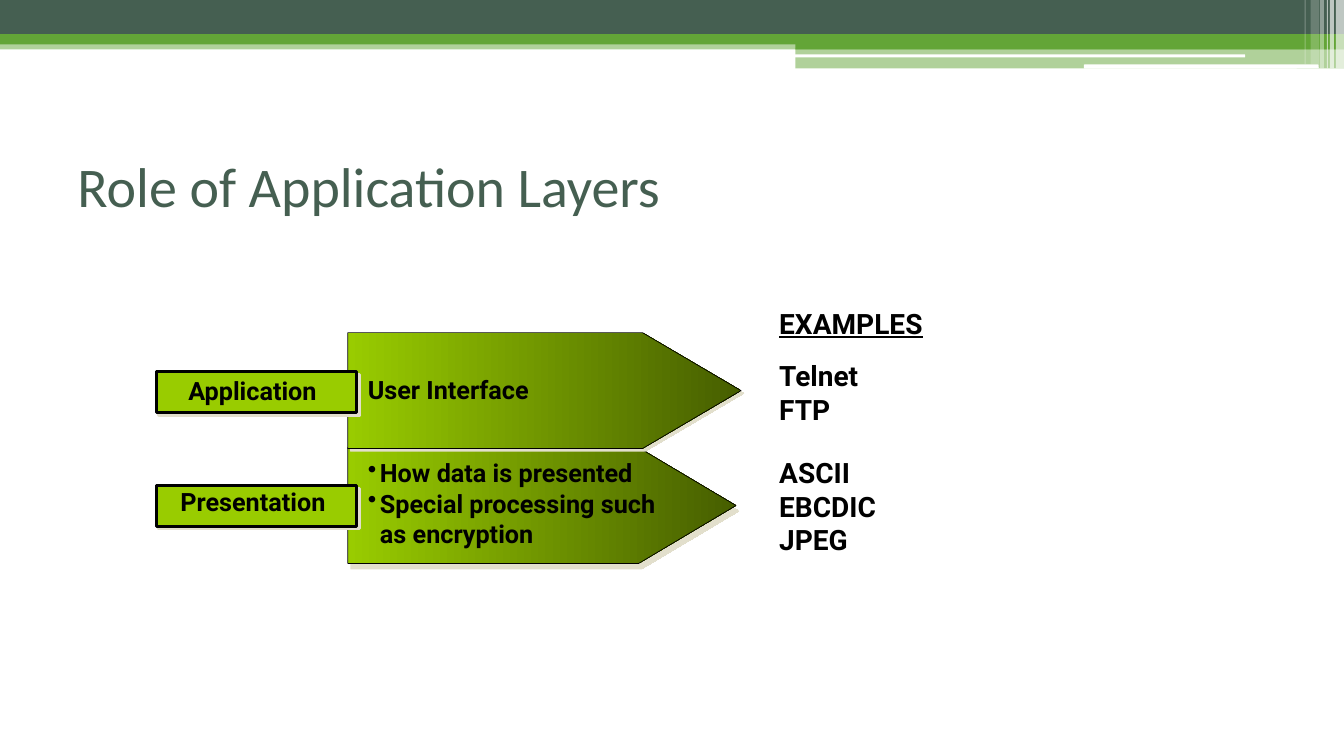
"""Build the slide on the role of the application layers."""
from dataclasses import dataclass
from typing import Any

from lxml import etree
from pptx import Presentation
from pptx.dml.color import RGBColor
from pptx.enum.shapes import MSO_SHAPE
from pptx.enum.text import MSO_ANCHOR
from pptx.oxml.ns import qn
from pptx.util import Inches, Pt

RECTANGLE = MSO_SHAPE.RECTANGLE
ROUNDED = MSO_SHAPE.ROUNDED_RECTANGLE
PENTAGON = MSO_SHAPE.PENTAGON
TOP, MIDDLE = MSO_ANCHOR.TOP, MSO_ANCHOR.MIDDLE

WHITE, BLACK, SHADOW = "FFFFFF", "000000", "E2DFCC"
DARK_GREEN, LEAF_GREEN = "455F51", "63A537"
LIME, DEEP_LIME = "99CC00", "465E00"

BODY_FONT = {"name": "Roboto", "size": Pt(18), "bold": True}
EXAMPLE_FONT = BODY_FONT | {"size": Pt(20)}
HEADING_FONT = EXAMPLE_FONT | {"underline": True}
TITLE_FONT = {"name": "Calibri", "size": Pt(40), "bold": False}


@dataclass(frozen=True)
class Box:
    """Position and size in inches."""
    left: float
    top: float
    width: float
    height: float

    def lengths(self) -> list[int]:
        """Return the four lengths for a python-pptx call."""
        return [Inches(v) for v in (self.left, self.top, self.width, self.height)]


@dataclass(frozen=True)
class Bar:
    """A plain decorative bar with opacity in percent."""
    box: Box
    color: str
    opacity: int = 100
    kind: Any = RECTANGLE


@dataclass(frozen=True)
class Panel:
    """An outlined shape with a shadow; an adjustment marks an arrow."""
    box: Box
    line_width: float
    shadow_distance: float = 2.8
    shadow_angle: int = 45
    adjustment: float | None = None


@dataclass(frozen=True)
class TextBlock:
    """A text box with one font for all its paragraphs."""
    box: Box
    lines: tuple[str, ...]
    font: dict[str, Any]
    color: str = BLACK
    anchor: Any = MIDDLE
    wrap: bool = True
    bulleted: bool = False


BARS = [
    Bar(Box(0, 0.4, 13.33, 0.09), LEAF_GREEN, 50),
    Bar(Box(0, 0, 13.33, 0.34), DARK_GREEN),
    Bar(Box(0, 0.34, 13.33, 0.1), LEAF_GREEN),
    Bar(Box(7.89, 0.39, 5.44, 0.1), LEAF_GREEN),
    Bar(Box(7.89, 0.48, 5.44, 0.2), LEAF_GREEN, 50),
    Bar(Box(7.88, 0.54, 4.47, 0.03), WHITE, kind=ROUNDED),
    Bar(Box(10.75, 0.64, 2.33, 0.04), WHITE, kind=ROUNDED),
    Bar(Box(13.25, 0, 0.08, 0.68), WHITE, 65),
    Bar(Box(13.19, 0, 0.04, 0.68), WHITE, 65),
    Bar(Box(13.16, 0, 0.01, 0.68), WHITE, 60),
    Bar(Box(13.09, 0, 0.04, 0.68), WHITE, 40),
    Bar(Box(13, 0, 0.08, 0.64), WHITE, 20),
    Bar(Box(12.94, 0, 0.01, 0.64), WHITE, 30),
]
PANELS = [
    Panel(Box(3.45, 4.44, 3.85, 1.15), 0.5, 4.5, 63, 0.84),
    Panel(Box(3.45, 3.3, 3.9, 1.15), 0.5, adjustment=0.85),
    Panel(Box(1.55, 3.69, 1.99, 0.4), 2.25),
    Panel(Box(1.55, 4.82, 1.99, 0.4), 2.25),
]
TEXTS = [
    TextBlock(Box(0.67, 1.25, 12, 1.17), ("Role of Application Layers",), TITLE_FONT, DARK_GREEN),
    TextBlock(Box(7.63, 2.99, 1.97, 0.43), ("EXAMPLES",), HEADING_FONT),
    TextBlock(Box(7.63, 3.51, 1.97, 0.77), ("Telnet", "FTP"), EXAMPLE_FONT),
    TextBlock(Box(7.63, 4.47, 1.47, 1.1), ("ASCII", "EBCDIC", "JPEG"), EXAMPLE_FONT),
    TextBlock(Box(3.55, 3.66, 3.51, 0.4), ("User Interface",), BODY_FONT),
    TextBlock(Box(3.55, 4.49, 3.06, 1),
              ("How data is presented", "Special processing such as encryption"),
              BODY_FONT, bulleted=True),
    TextBlock(Box(1.77, 3.67, 1.56, 0.4), ("Application",), BODY_FONT, anchor=TOP, wrap=False),
    TextBlock(Box(1.69, 4.78, 1.72, 0.4), ("Presentation",), BODY_FONT, anchor=TOP, wrap=False),
]


def rgb(color: str) -> RGBColor:
    """Turn a hex string into a colour."""
    return RGBColor.from_string(color)


def set_values(target: Any, values: dict[str, Any]) -> None:
    """Set each named attribute on the target."""
    for name, value in values.items():
        setattr(target, name, value)


def add_plain_shape(slide: Any, kind: Any, box: Box, color: str) -> Any:
    """Add a solid shape without a shadow."""
    shape = slide.shapes.add_shape(kind, *box.lengths())
    shape.shadow.inherit = False
    shape.fill.solid()
    shape.fill.fore_color.rgb = rgb(color)
    return shape


def add_bar(slide: Any, bar: Bar) -> None:
    """Add a borderless bar, translucent where asked."""
    shape = add_plain_shape(slide, bar.kind, bar.box, bar.color)
    shape.line.fill.background()
    if bar.opacity < 100:
        color = shape.element.spPr.find(qn("a:solidFill"))[0]
        etree.SubElement(color, qn("a:alpha"), val=str(bar.opacity * 1000))


def add_panel(slide: Any, panel: Panel) -> None:
    """Add a label box or a shaded arrow with its shadow."""
    is_arrow = panel.adjustment is not None
    shape = add_plain_shape(slide, PENTAGON if is_arrow else RECTANGLE, panel.box, LIME)
    if is_arrow:
        shape.adjustments[0] = panel.adjustment
        shape.fill.gradient()
        shape.fill.gradient_angle = 0
        for stop, color in zip(shape.fill.gradient_stops, (LIME, DEEP_LIME)):
            stop.color.rgb = rgb(color)
    shape.line.color.rgb = rgb(BLACK)
    shape.line.width = Pt(panel.line_width)
    effects = shape.element.spPr.find(qn("a:effectLst"))
    shadow = etree.SubElement(effects, qn("a:outerShdw"), blurRad="0",
                              dist=str(Pt(panel.shadow_distance)),
                              dir=str(panel.shadow_angle * 60000),
                              algn="ctr", rotWithShape="0")
    etree.SubElement(shadow, qn("a:srgbClr"), val=SHADOW)


def add_bullet(paragraph: Any) -> None:
    """Give the paragraph a hanging round bullet."""
    properties = paragraph._p.get_or_add_pPr()
    indent = Inches(0.12)
    properties.set("marL", str(indent))
    properties.set("indent", str(-indent))
    etree.SubElement(properties, qn("a:buChar"), char="•")


def add_text(slide: Any, block: TextBlock) -> None:
    """Add a text box with one paragraph per line."""
    frame = slide.shapes.add_textbox(*block.box.lengths()).text_frame
    set_values(frame, {"word_wrap": block.wrap, "vertical_anchor": block.anchor})
    for index, line in enumerate(block.lines):
        paragraph = frame.add_paragraph() if index else frame.paragraphs[0]
        run = paragraph.add_run()
        run.text = line
        set_values(run.font, block.font)
        run.font.color.rgb = rgb(block.color)
        if block.bulleted:
            add_bullet(paragraph)


def main() -> None:
    """Draw the slide and save it."""
    presentation = Presentation()
    set_values(presentation, {"slide_width": Inches(13.33), "slide_height": Inches(7.5)})
    slide = presentation.slides.add_slide(presentation.slide_layouts[6])
    for draw, items in ((add_bar, BARS), (add_panel, PANELS), (add_text, TEXTS)):
        for item in items:
            draw(slide, item)
    presentation.save("out.pptx")


if __name__ == "__main__":
    main()
